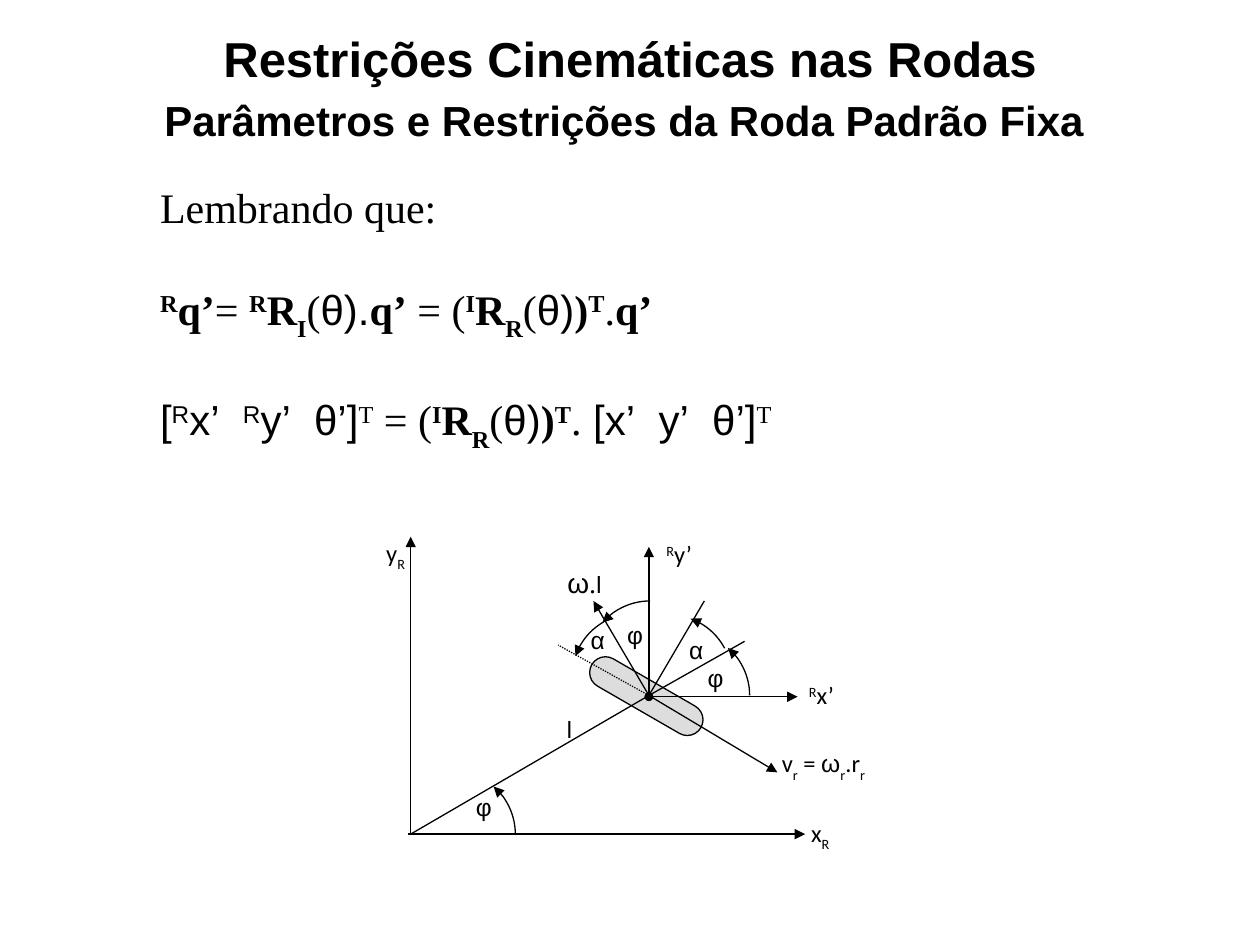
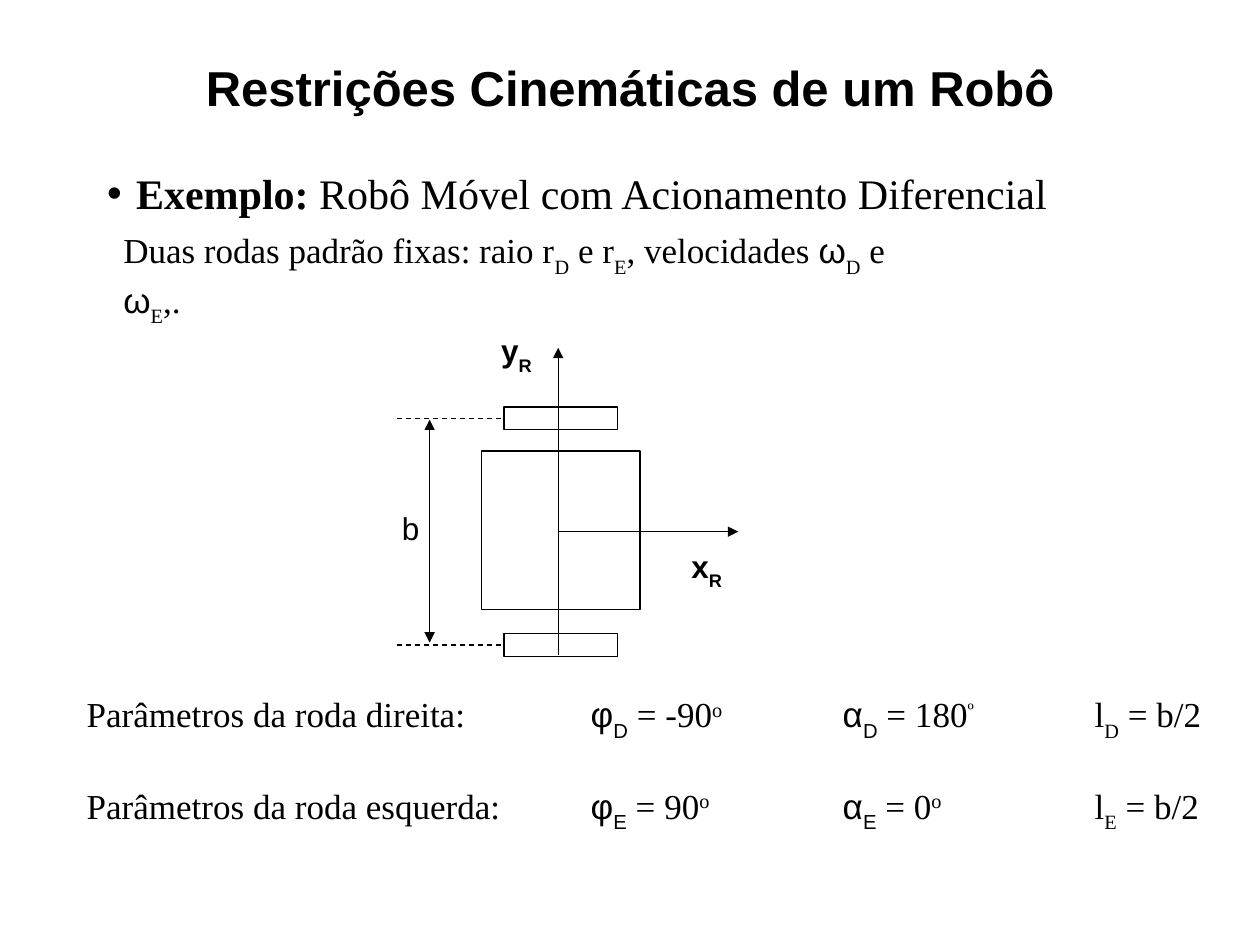
"""Builds two slides on the kinematic constraints of robot wheels."""
from lxml import etree
from pptx import Presentation
from pptx.dml.color import RGBColor
from pptx.enum.dml import MSO_LINE
from pptx.enum.shapes import MSO_CONNECTOR, MSO_SHAPE
from pptx.enum.text import MSO_ANCHOR, MSO_AUTO_SIZE, PP_ALIGN
from pptx.oxml.ns import qn
from pptx.util import Inches, Pt

BLACK = RGBColor(0x00, 0x00, 0x00)
WHITE = RGBColor(0xFF, 0xFF, 0xFF)
WHEEL_GREY = RGBColor(0xDD, 0xDD, 0xDD)
LEFT, CENTER = PP_ALIGN.LEFT, PP_ALIGN.CENTER
TOP, MIDDLE = MSO_ANCHOR.TOP, MSO_ANCHOR.MIDDLE
STRAIGHT = MSO_CONNECTOR.STRAIGHT
RECT, PILL = MSO_SHAPE.RECTANGLE, MSO_SHAPE.ROUNDED_RECTANGLE
DOT, ARC = MSO_SHAPE.OVAL, MSO_SHAPE.ARC
DASH, DOTTED = MSO_LINE.DASH, MSO_LINE.ROUND_DOT
ARC_RADIUS = 0.5

FLAGS = {
    "t": {"name": "Times New Roman"},
    "a": {"name": "Arial"},
    "c": {"name": "Calibri"},
    "b": {"bold": True},
    "L": {"size": Pt(16)},
}
RUN_ATTRIBUTES = {"^": ("baseline", "30000"), "_": ("baseline", "-30000"), "w": ("spc", "667")}
WIDE_SPACE = (" ", "aw")


def add_runs(p, runs, size):
    """Write (text, flags) runs into a paragraph."""
    for text, flags in runs:
        r = p.add_run()
        r.text = text
        r.font.color.rgb = BLACK
        fmt = {"size": Pt(size), "bold": False}
        for flag in flags:
            fmt.update(FLAGS.get(flag, {}))
            if flag in RUN_ATTRIBUTES:
                r._r.get_or_add_rPr().set(*RUN_ATTRIBUTES[flag])
        for name, value in fmt.items():
            setattr(r.font, name, value)


def set_bullet(p, bullet):
    """Give a paragraph a hanging bullet, or none."""
    pPr = p._p.get_or_add_pPr()
    indent = Inches(0.23) if bullet else 0
    pPr.set("marL", str(indent))
    pPr.set("indent", str(-indent))
    if bullet:
        etree.SubElement(pPr, qn("a:buChar")).set("char", bullet)
    else:
        etree.SubElement(pPr, qn("a:buNone"))


def set_tabs(p, tabs):
    """Give a paragraph left tab stops."""
    tab_list = etree.SubElement(p._p.get_or_add_pPr(), qn("a:tabLst"))
    for pos in tabs:
        tab = etree.SubElement(tab_list, qn("a:tab"))
        tab.set("pos", str(Inches(pos)))
        tab.set("algn", "l")


def fill_text(sp, paragraphs, size, gap=0, align=LEFT, anchor=TOP, bullet=None, tabs=()):
    """Format a text frame and write its paragraphs."""
    tf = sp.text_frame
    frame = {"word_wrap": True, "auto_size": MSO_AUTO_SIZE.NONE, "vertical_anchor": anchor}
    for name, value in frame.items():
        setattr(tf, name, value)
    for i, runs in enumerate(paragraphs):
        p = tf.paragraphs[0] if i == 0 else tf.add_paragraph()
        if sp.is_placeholder:
            set_bullet(p, bullet)
        if tabs:
            set_tabs(p, tabs)
        p.alignment = align
        p.space_before = Pt(gap if i else 0)
        add_runs(p, runs, size)


def place(sp, box):
    """Move and size a shape in inches."""
    for name, value in zip(("left", "top", "width", "height"), box):
        setattr(sp, name, Inches(value))


def add_slide(prs, title, subtitle=None):
    """Add a slide with its centred bold title."""
    s = prs.slides.add_slide(prs.slide_layouts[1])
    sp = s.shapes.title
    place(sp, (0.5, 0.3, 9, 1.25))
    sp.text_frame.margin_bottom = Inches(0.52)
    fill_text(sp, [[(title, "ab")]], 28, align=CENTER, anchor=MIDDLE)
    if subtitle:
        p = sp.text_frame.add_paragraph()
        p.alignment = CENTER
        p.space_before = Pt(4)
        add_runs(p, [(subtitle, "ab")], 24)
    return s


def add_body(s, box, paragraphs, size, **options):
    """Place and fill the body placeholder."""
    sp = s.placeholders[1]
    place(sp, box)
    fill_text(sp, paragraphs, size, **options)


def add_text(s, box, paragraphs, size, **options):
    """Add a text box."""
    sp = s.shapes.add_textbox(*map(Inches, box))
    fill_text(sp, paragraphs, size, **options)


def add_label(s, box, runs, size):
    """Add a centred diagram label."""
    add_text(s, box, [runs], size, align=CENTER)


def set_line(line, head=False, tail=False, dash=None):
    """Draw a thin black outline with optional arrowheads."""
    line.color.rgb = BLACK
    line.width = Pt(0.75)
    if dash:
        line.dash_style = dash
    for tag, wanted in (("a:headEnd", head), ("a:tailEnd", tail)):
        if wanted:
            etree.SubElement(line._get_or_add_ln(), qn(tag)).set("type", "triangle")


def add_line(s, start, end, **options):
    """Add a straight connector."""
    c = s.shapes.add_connector(STRAIGHT, *map(Inches, (*start, *end)))
    set_line(c.line, **options)
    etree.SubElement(c._element.spPr, qn("a:effectLst"))


def add_solid(s, kind, box, fill, rotation=0):
    """Add a filled and outlined shape."""
    sp = s.shapes.add_shape(kind, *map(Inches, box))
    sp.shadow.inherit = False
    sp.rotation = rotation
    sp.fill.solid()
    sp.fill.fore_color.rgb = fill
    set_line(sp.line)
    return sp


def add_angle(s, center, start, end):
    """Add an arc between two clockwise degrees, with an arrowhead at its start."""
    x, y = center
    size = 2 * ARC_RADIUS
    sp = s.shapes.add_shape(ARC, *map(Inches, (x - ARC_RADIUS, y - ARC_RADIUS, size, size)))
    sp.shadow.inherit = False
    sp.fill.background()
    for i, degrees in enumerate((start, end)):
        sp.adjustments[i] = degrees % 360 * 0.6
    set_line(sp.line, head=True)


def add_wheel_diagram(s):
    """Draw the fixed wheel in the robot frame."""
    wheel = add_solid(s, PILL, (4.63, 5.4, 1, 0.25), WHEEL_GREY, 30)
    wheel.adjustments[0] = 0.5
    add_solid(s, DOT, (5.12, 5.5, 0.06, 0.06), BLACK)

    hub, origin = (5.15, 5.52), (3.26, 6.62)
    for start, end in ((origin, (3.26, 4.26)), ((3.24, 6.62), (6.39, 6.62)),
                       (hub, (6.17, 6.13)), (hub, (4.71, 4.77)),
                       ((5.15, 5.53), (6.33, 5.53)), (hub, (5.15, 4.34))):
        add_line(s, start, end, tail=True)
    for end in (origin, (5.91, 5.09), (5.59, 4.77)):
        add_line(s, hub, end)
    add_line(s, hub, (4.43, 5.12), dash=DOTTED)

    for center, start, end in (((3.59, 6.62), -49, 0), ((5.31, 5.38), -70, -28),
                               ((5.45, 5.52), -49, 0), ((5.04, 5.37), 199, 240),
                               ((5.16, 5.27), 221, 270)):
        add_angle(s, center, start, end)

    for box, runs in (
        ((5.99, 5.89, 1.09, 0.5), [("v", "c"), ("r", "c_"), (" = ", "c"), ("ω", "a"),
                                   ("r", "c_"), (".r", "c"), ("r", "c_")]),
        ((5.34, 4.99, 0.37, 0.38), [("α", "a")]),
        ((4.56, 4.91, 0.37, 0.38), [("α", "a")]),
        ((3.54, 6.24, 0.6, 0.5), [("φ", "a")]),
        ((5.51, 5.21, 0.34, 0.32), [("φ", "a")]),
        ((4.87, 4.87, 0.34, 0.32), [("φ", "a")]),
        ((6.26, 6.44, 0.5, 0.4), [("x", "c"), ("R", "c_")]),
        ((2.89, 4.22, 0.5, 0.4), [("y", "c"), ("R", "c_")]),
        ((4.27, 5.62, 0.5, 0.4), [("l", "c")]),
        ((4.39, 4.44, 0.5, 0.4), [("ω", "aL"), (".", "tL"), ("l", "c")]),
        ((6.27, 5.35, 0.5, 0.4), [("R", "c^"), ("x’", "c")]),
        ((5.14, 4.23, 0.5, 0.4), [("R", "c^"), ("y’", "c")]),
    ):
        add_label(s, box, runs, 14)


def add_robot_diagram(s):
    """Draw the differential robot seen from above."""
    wheel_centers = (3.32, 5.12)
    for y in wheel_centers:
        add_solid(s, RECT, (4, y - 0.09, 0.9, 0.18), WHITE)
        add_line(s, (3.15, y), (4, y), dash=DASH)
    add_solid(s, RECT, (3.82, 3.58, 1.26, 1.26), WHITE)
    add_line(s, (4.43, 5.2), (4.43, 2.76), tail=True)
    add_line(s, (4.44, 4.22), (5.86, 4.22), tail=True)
    add_line(s, (3.41, 3.33), (3.41, 5.1), head=True, tail=True)
    add_label(s, (5.16, 4.29, 0.9, 0.9), [("x", "ab"), ("R", "ab_")], 18)
    add_label(s, (3.65, 2.58, 0.9, 1.08), [("y", "ab"), ("R", "ab_")], 18)
    add_label(s, (2.81, 3.99, 0.9, 0.9), [("b", "a")], 18)


def wheel_parameters(side, index, phi, alpha, degree="o"):
    """Return the runs of one tabbed line of wheel parameters."""
    return [(f"Parâmetros da roda {side}:\t", "t"), ("φ", "a"), (index, "a_"),
            (f" = {phi}", "t"), ("o", "t^"), ("\t", "t"), ("α", "a"), (index, "a_"),
            (f" = {alpha}", "t"), (degree, "t^"), ("\t", "t"), ("l", "t"),
            (index, "t_"), (" = b/2", "t")]


def main():
    """Build and save the slides."""
    prs = Presentation()
    prs.slide_width, prs.slide_height = Inches(10), Inches(7.5)

    s = add_slide(prs, "Restrições Cinemáticas nas Rodas",
                  "Parâmetros e Restrições da Roda Padrão Fixa ")
    rotation = [("I", "tb^"), ("R", "tb"), ("R", "tb_"), ("(", "t"), ("θ)", "a"),
                (")", "tb"), ("T", "tb^"), (".", "t")]
    add_body(s, (1.17, 1.39, 5.55, 2.65), [
        [("Lembrando que:", "t")],
        [("R", "tb^"), ("q’", "tb"), ("= ", "t"), ("R", "tb^"), ("R", "tb"), ("I", "tb_"),
         ("(", "t"), ("θ).", "a"), ("q’", "tb"), (" = (", "t"), *rotation, ("q’", "tb")],
        [("[", "a"), ("R", "a^"), ("x’", "a"), WIDE_SPACE, ("R", "a^"), ("y’", "a"),
         WIDE_SPACE, ("θ’]", "a"), ("T", "t^"), (" = (", "t"), *rotation, (" [x’", "a"),
         WIDE_SPACE, ("y’", "a"), WIDE_SPACE, ("θ’]", "a"), ("T", "t^")],
    ], 24, gap=29.3)
    add_wheel_diagram(s)

    s = add_slide(prs, "Restrições Cinemáticas de um Robô")
    add_body(s, (0.75, 1.28, 8.63, 0.9), [
        [("Exemplo: ", "tb"), ("Robô Móvel com Acionamento Diferencial", "t")],
    ], 24, bullet="•")
    add_text(s, (0.88, 1.96, 6.71, 0.5), [
        [("Duas rodas padrão fixas: raio r", "t"), ("D", "t_"), (" e r", "t"), ("E", "t_"),
         (", velocidades ", "t"), ("ω", "a"), ("D", "t_"), (" e ", "t"), ("ω", "a"),
         ("E", "t_"), (",.", "t")],
    ], 20, anchor=MIDDLE)
    add_robot_diagram(s)
    add_text(s, (0.59, 5.45, 9.2, 1.4), [
        wheel_parameters("direita", "D", "-90", "180", "º"),
        wheel_parameters("esquerda", "E", "90", "0"),
    ], 20, gap=24, tabs=(4, 6, 8))

    prs.save("out.pptx")


if __name__ == "__main__":
    main()
